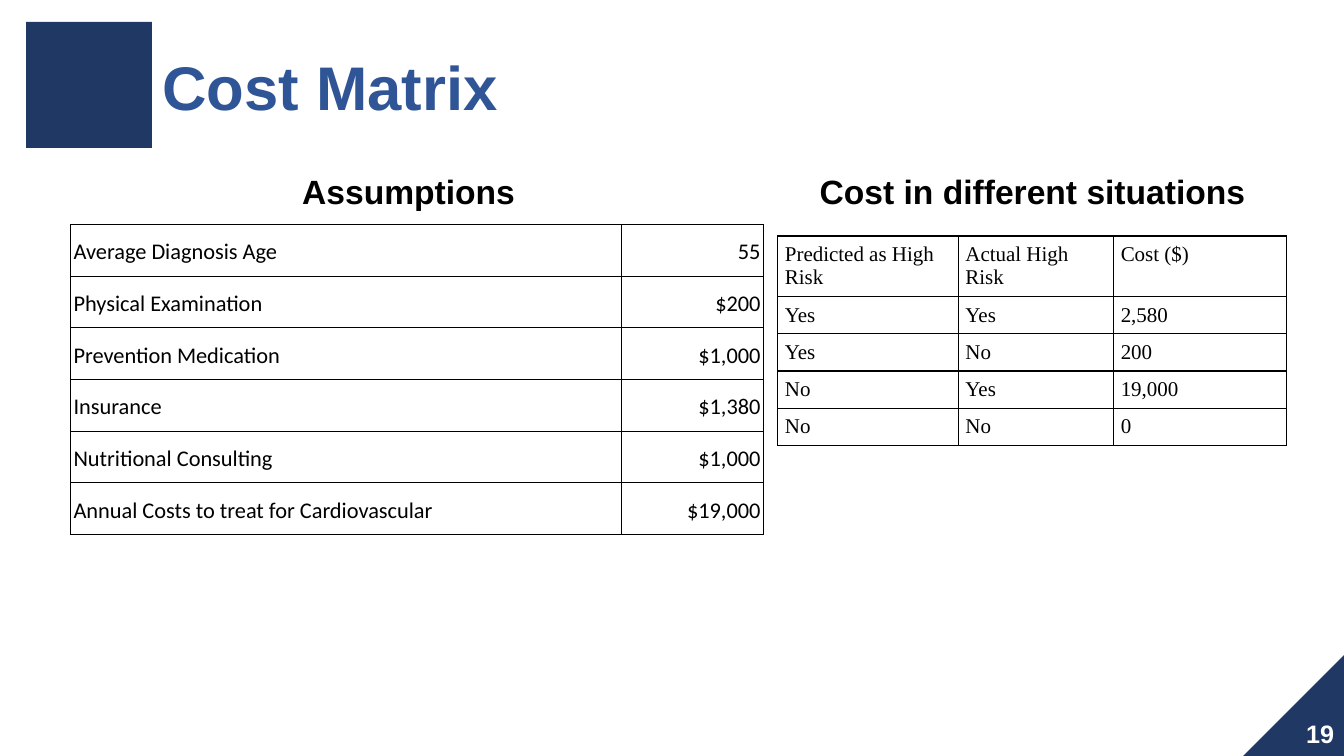
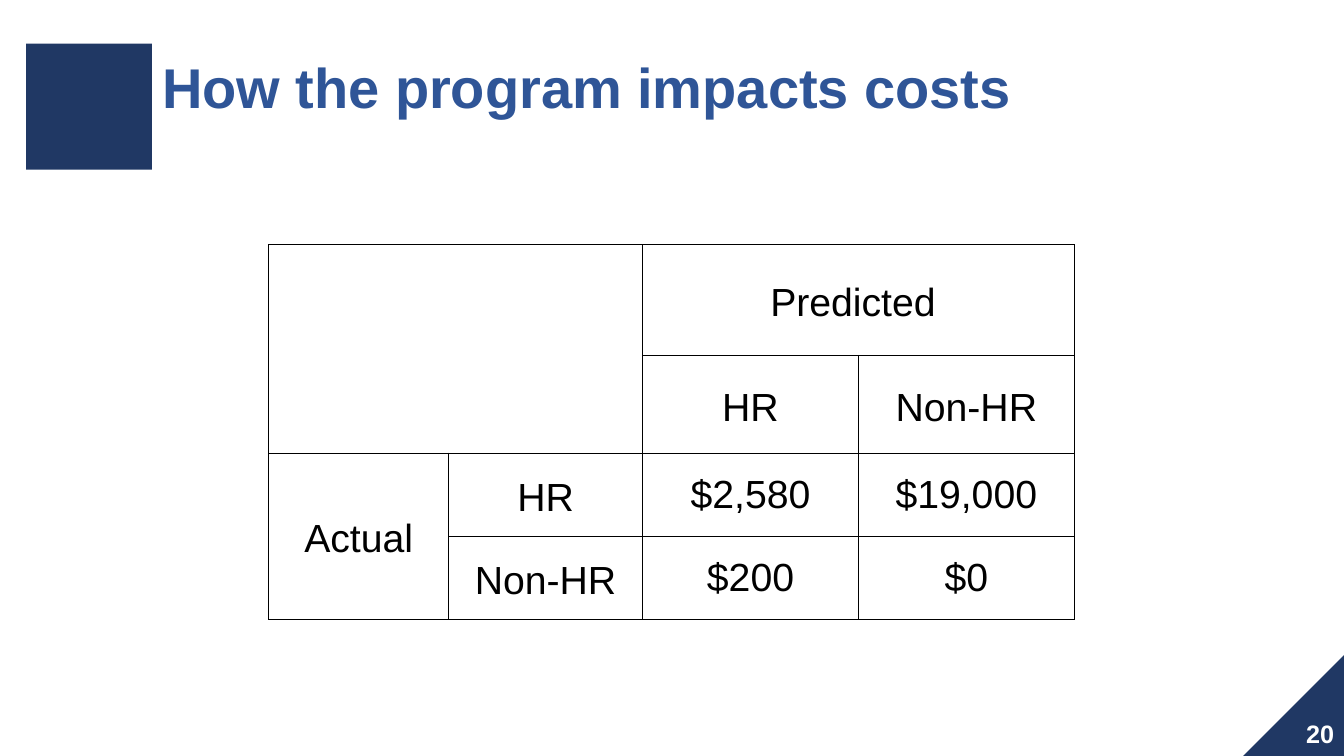
from dataclasses import dataclass

from lxml import etree
from pptx import Presentation, util as u
from pptx.dml import color
from pptx.enum import shapes, text
from pptx.oxml import ns

# Grid: 160 columns by 90 rows of square cells
COLS, ROWS = 160, 90
UNIT = u.Inches(7.5) / ROWS
NAVY, BLUE, BLACK, WHITE = "203864", "2F5597", "000000", "FFFFFF"
LEFT, MID, RIGHT = text.PP_ALIGN.LEFT, text.PP_ALIGN.CENTER, text.PP_ALIGN.RIGHT
TOP, CENTER, BASE = (text.MSO_ANCHOR.TOP, text.MSO_ANCHOR.MIDDLE,
                     text.MSO_ANCHOR.BOTTOM)


@dataclass
class Font:
    size: float
    name: str = "Arial"
    tone: str = BLACK
    bold: bool = False


@dataclass
class Grid:
    left: float
    top: float
    cols: list[float]
    rows: list[float]
    data: list[list[str]]
    font: Font
    line: float = 0.75
    pad: tuple[float, float] = (0.07, 0.07)
    anchor: text.MSO_ANCHOR = TOP
    align: tuple = (LEFT, LEFT, LEFT, LEFT)
    lead: float = 1.0
    core: tuple[int, int] = (9, 9)  # single spacing from this row and column on
    spans: tuple = ()


@dataclass
class Page:
    num: int
    title: str
    size: float
    mark: float  # top of the square beside the title
    heads: list[tuple[str, float, float]]
    grids: list[Grid]


HEAD = Font(24, bold=True)
PAGES = [
    Page(19, "Cost Matrix", 44, 2.6,
         [("Assumptions", 34.8, 30), ("Cost in different situations", 96.4, 53.2)],
         [Grid(92.6, 28.1, [21.5, 18.5, 20.6], [7.2] + [4.44] * 4,
               [["Predicted as High Risk", "Actual High Risk", "Cost ($)"],
                ["Yes", "Yes", "2,580"],
                ["Yes", "No", "200"],
                ["No", "Yes", "19,000"],
                ["No", "No", "0"]],
               Font(15, "Times New Roman"), line=1),
          Grid(8.4, 26.7, [65.6, 16.9], [6.15] * 6,
               [["Average Diagnosis Age", "55"],
                ["Physical Examination", "$200"],
                ["Prevention Medication", "$1,000"],
                ["Insurance", "$1,380"],
                ["Nutritional Consulting", "$1,000"],
                ["Annual Costs to treat for Cardiovascular", "$19,000"]],
               Font(16, "Calibri"), pad=(0.03, 0.1), anchor=BASE,
               align=(LEFT, RIGHT), lead=1.15)]),
    Page(20, "How the program impacts costs", 40, 5.2, [],
         [Grid(32, 29.1, [21.4, 23.1, 25.7, 25.7], [13.2, 11.65, 9.87, 9.87],
               [["", "", "Predicted ", ""],
                ["", "", "HR", "Non-HR"],
                ["Actual", "HR", "$2,580", "$19,000"],
                ["", "Non-HR", "$200", "$0"]],
               Font(28), anchor=CENTER, align=(MID,) * 4, lead=1.15, core=(2, 2),
               spans=((0, 0, 1, 1), (0, 2, 0, 3), (2, 0, 3, 0)))]),
]


def cells(*nums: float) -> list[int]:
    return [u.Emu(round(n * UNIT)) for n in nums]


def paint(form, tone: str) -> None:
    form.solid()
    form.fore_color.rgb = color.RGBColor.from_string(tone)


def write(para, words: str, font: Font, align=LEFT, lead: float = 1.0) -> None:
    para.alignment, para.line_spacing = align, lead
    run = para.add_run()
    run.text = words
    run.font.size, run.font.name = u.Pt(font.size), font.name
    run.font.bold = font.bold
    run.font.color.rgb = color.RGBColor.from_string(font.tone)


def label(box, words: str, font: Font, anchor=CENTER, align=LEFT,
          pad: float = 0.05) -> None:
    frame = box.text_frame
    frame.word_wrap, frame.auto_size = True, text.MSO_AUTO_SIZE.NONE
    frame.vertical_anchor = anchor
    frame.margin_left = frame.margin_right = u.Inches(0.1)
    frame.margin_top = frame.margin_bottom = u.Inches(pad)
    write(frame.paragraphs[0], words, font, align)


def block(slide, kind, *area: float):
    shape = slide.shapes.add_shape(kind, *cells(*area))
    shape.shadow.inherit = False
    paint(shape.fill, NAVY)
    shape.line.fill.background()
    return shape


def border(cell, width: float) -> None:
    props = cell._tc.get_or_add_tcPr()
    for spot, side in enumerate(("lnL", "lnR", "lnT", "lnB")):
        edge = etree.Element(ns.qn(f"a:{side}"), w=str(u.Pt(width)))
        fill = etree.SubElement(edge, ns.qn("a:solidFill"))
        etree.SubElement(fill, ns.qn("a:srgbClr"), val=BLACK)
        props.insert(spot, edge)


def table(slide, grid: Grid) -> None:
    area = cells(grid.left, grid.top, sum(grid.cols), sum(grid.rows))
    tab = slide.shapes.add_table(len(grid.rows), len(grid.cols), *area).table
    tab.first_row = tab.horz_banding = False
    for col, width in zip(tab.columns, cells(*grid.cols)):
        col.width = width
    for row, height in zip(tab.rows, cells(*grid.rows)):
        row.height = height
    for r, line in enumerate(grid.data):
        for c, words in enumerate(line):
            cell = tab.cell(r, c)
            cell.fill.background()
            border(cell, grid.line)
            cell.vertical_anchor = grid.anchor
            cell.margin_left = cell.margin_right = u.Inches(grid.pad[0])
            cell.margin_top = cell.margin_bottom = u.Inches(grid.pad[1])
            if words:
                core = r >= grid.core[0] and c >= grid.core[1]
                write(cell.text_frame.paragraphs[0], words, grid.font,
                      grid.align[c], 1.0 if core else grid.lead)
    for r, c, end, last in grid.spans:
        tab.cell(r, c).merge(tab.cell(end, last))


def build(deck, page: Page) -> None:
    slide = deck.slides.add_slide(deck.slide_layouts[5])
    # Corner and page number
    corner = block(slide, shapes.MSO_SHAPE.RIGHT_TRIANGLE,
                   COLS - 12, ROWS - 12, 12, 12)
    corner._element.spPr.get_or_add_xfrm().set("flipH", "1")
    box = slide.shapes.add_textbox(*cells(153.2, 84.7, 6.8, 5.3))
    label(box, str(page.num), Font(18, tone=WHITE, bold=True), align=RIGHT)
    # Square and title
    block(slide, shapes.MSO_SHAPE.RECTANGLE, 3.1, page.mark, 15, 15)
    title = slide.shapes.title
    title.left, title.top, title.width, title.height = cells(18.1, 3.5, 138, 13.4)
    label(title, page.title, Font(page.size, tone=BLUE, bold=True))
    # Headings and tables
    for words, left, width in page.heads:
        box = slide.shapes.add_textbox(*cells(left, 19.1, width, 6.2))
        label(box, words, HEAD, TOP, pad=0.1)
    for grid in page.grids:
        table(slide, grid)


def main() -> None:
    deck = Presentation()
    deck.slide_width, deck.slide_height = cells(COLS, ROWS)
    for page in PAGES:
        build(deck, page)
    deck.save("out.pptx")


if __name__ == "__main__":
    main()
